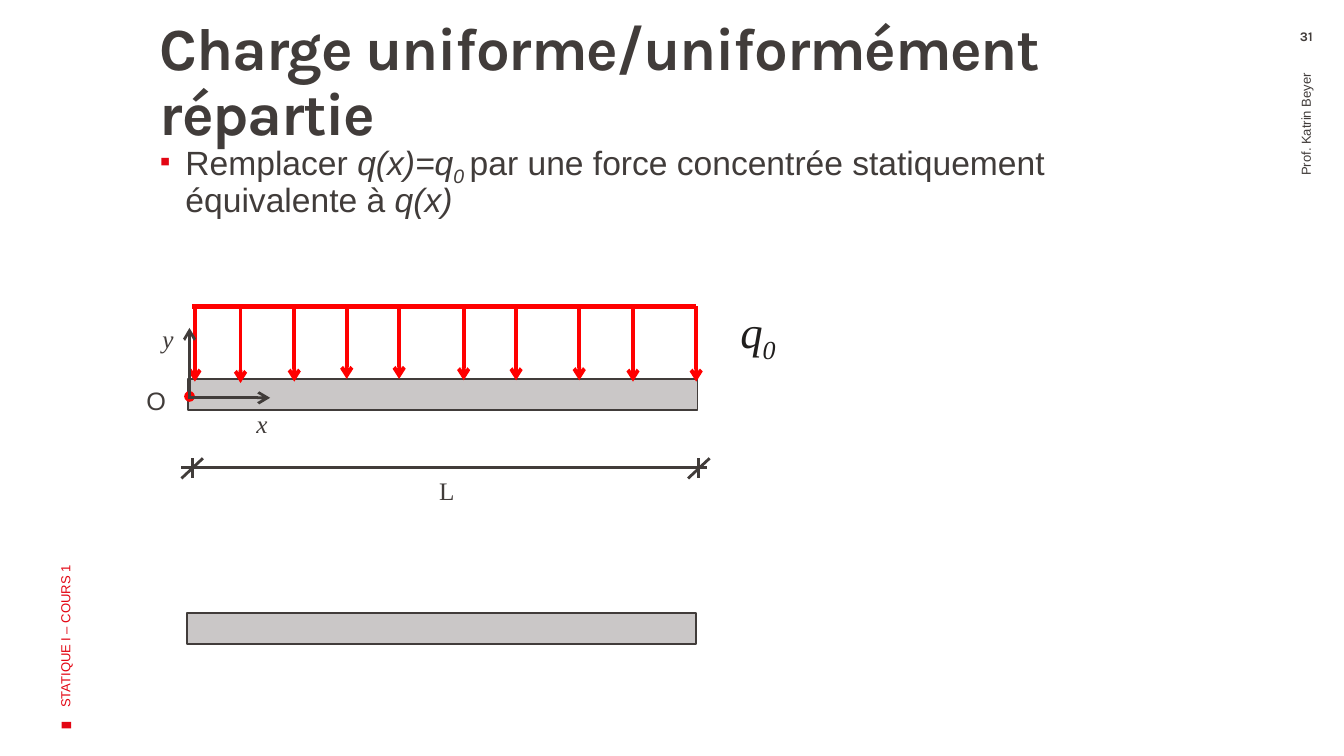
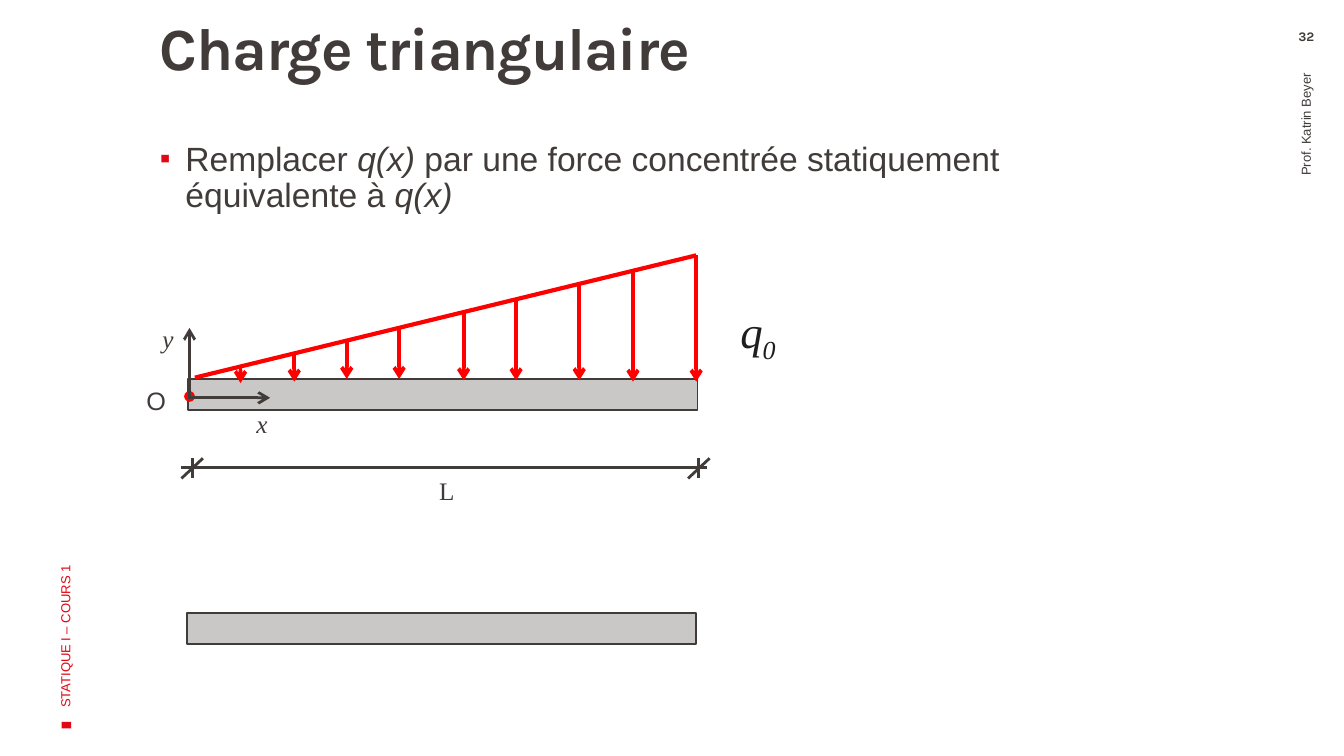
from lxml import etree
from pptx import Presentation
from pptx import util as u
from pptx.dml.color import RGBColor
from pptx.enum import shapes, text
from pptx.oxml.ns import qn

INK = RGBColor(0x41, 0x3C, 0x3A)
SYMBOL_INK = RGBColor(0x20, 0x1E, 0x1D)
ACCENT = RGBColor(0xE3, 0x06, 0x13)
LOAD_RED = RGBColor(0xFF, 0x00, 0x00)
BEAM_GREY = RGBColor(0xCA, 0xC7, 0xC7)
SANS, SERIF, DISPLAY = "Arial", "Times New Roman", "Karla"

deck = Presentation()
deck.slide_width, deck.slide_height = u.Inches(10), u.Inches(5.625)
CELL = deck.slide_width / 100  # square grid: 100 columns, 56.25 rows


def write(slide, box, runs, size, font=SANS, color=INK, bold=False, spacing=None,
          insets=(1, 0.5, 1, 0.5), align=None, middle=False, rotation=0,
          line_spacing=None, bullet=None):
    """Add a text box; runs are (text, style), style being "", "i" or "i sub"."""
    label = slide.shapes.add_textbox(*(round(v * CELL) for v in box))
    label.rotation = rotation
    frame = label.text_frame
    frame.word_wrap = True
    (frame.margin_left, frame.margin_top,
     frame.margin_right, frame.margin_bottom) = (round(v * CELL) for v in insets)
    frame.vertical_anchor = text.MSO_ANCHOR.MIDDLE if middle else text.MSO_ANCHOR.TOP
    paragraph = frame.paragraphs[0]
    if bullet:
        props = paragraph._p.get_or_add_pPr()
        hang = round(1.9 * CELL)
        props.set("marL", str(hang))
        props.set("indent", str(-hang))
        tint = etree.SubElement(props, qn("a:buClr"))
        etree.SubElement(tint, qn("a:srgbClr"), val=str(ACCENT))
        etree.SubElement(props, qn("a:buSzPct"), val="90000")
        etree.SubElement(props, qn("a:buFont"), typeface=SANS)
        etree.SubElement(props, qn("a:buChar"), char=bullet)
    if align:
        paragraph.alignment = align
    if line_spacing:
        paragraph.line_spacing = line_spacing
    for words, style in runs:
        run = paragraph.add_run()
        run.text = words
        run.font.name, run.font.size = font, u.Pt(size)
        run.font.bold, run.font.italic = bold, "i" in style.split()
        run.font.color.rgb = color
        if "sub" in style:
            run._r.get_or_add_rPr().set("baseline", "-25000")
        if spacing:
            run._r.get_or_add_rPr().set("spc", str(spacing))


def draw_line(slide, start, end, color=INK, width=1.5, arrow=False):
    line = slide.shapes.add_connector(
        shapes.MSO_CONNECTOR.STRAIGHT, *(round(v * CELL) for v in (*start, *end)))
    line.line.color.rgb, line.line.width = color, u.Pt(width)
    props = line._element.spPr
    if arrow:
        etree.SubElement(props.get_or_add_ln(), qn("a:tailEnd"), type="arrow")
    etree.SubElement(props, qn("a:effectLst"))


FIRST_NUMBER = 31
# title, bullet, ends of the load's upper edge, (column, tip row) of its arrows
ARROWS = [(17.9, 28.5), (21.9, 28.4), (25.8, 28.2), (29.7, 28.2), (34.5, 28.3),
          (38.4, 28.3), (43.1, 28.3), (47.1, 28.4), (51.8, 28.4)]
LOAD_CASES = [
    ("Charge uniforme/uniformément répartie",
     [("Remplacer ", ""), ("q(x)=q", "i"), ("0 ", "i sub"),
      ("par une force concentrée statiquement équivalente à ", ""), ("q(x)", "i")],
     (14.3, 22.8), (51.8, 22.8), [(14.5, 28.4)] + ARROWS),
    ("Charge triangulaire",
     [("Remplacer ", ""), ("q(x) ", "i"),
      ("par une force concentrée statiquement équivalente à ", ""), ("q(x)", "i")],
     (14.5, 28.1), (51.8, 19), ARROWS),
]
RECT, OVAL = shapes.MSO_SHAPE.RECTANGLE, shapes.MSO_SHAPE.OVAL
FIGURE = [  # preset, box, fill, outlined, rotation
    (RECT, (4.7, 53.6, 0.5, 0.7), ACCENT, False, 270),
    (RECT, (14, 28.2, 37.9, 2.3), BEAM_GREY, True, 0),
    (RECT, (13.9, 45.6, 37.9, 2.3), BEAM_GREY, True, 0),
    (OVAL, (13.7, 29.1, 0.8, 0.8), LOAD_RED, False, 0),
]
LABELS = [  # letter, box, font, style
    ("L", (31.7, 34.9, 3.6, 4), SERIF, ""),
    ("O", (9.9, 28.2, 3.7, 4), SANS, ""),
    ("x", (18.1, 29.9, 3.1, 4), SERIF, "i"),
    ("y", (11.1, 23.6, 3.1, 4), SERIF, "i"),
]

for number, (title, bullet_runs, left, right, arrows) in enumerate(LOAD_CASES, FIRST_NUMBER):
    slide = deck.slides.add_slide(deck.slide_layouts[6])

    # Heading, task and margin texts
    write(slide, (9.9, 10.1, 76.7, 7.2), bullet_runs, 18, insets=(2, 0.5, 1, 0.5),
          line_spacing=0.9, bullet="▪")
    write(slide, (9.9, 1.4, 76.7, 6.8), [(title, "")], 32, DISPLAY, bold=True,
          spacing=-70, insets=(2, 0, 0.8, 0.5), line_spacing=0.9)
    write(slide, (-13.4, 30.4, 36.5, 10), [("STATIQUE I – COURS 1", "")], 7,
          color=ACCENT, middle=True, rotation=270)
    write(slide, (77.8, 20.5, 38.7, 5.6), [("Prof. Katrin Beyer", "")], 7,
          insets=(1, 0.5, 1.5, 0.5), align=text.PP_ALIGN.RIGHT, middle=True, rotation=270)
    write(slide, (94.4, 2.1, 5.6, 1.8), [(str(number), "")], 7, DISPLAY, bold=True,
          insets=(1, 0, 1, 0), align=text.PP_ALIGN.CENTER)

    # Beams, origin and margin mark
    for preset, box, fill, outlined, rotation in FIGURE:
        part = slide.shapes.add_shape(preset, *(round(v * CELL) for v in box))
        part.shadow.inherit = False
        part.rotation = rotation
        part.fill.solid()
        part.fill.fore_color.rgb = fill
        if outlined:
            part.line.color.rgb, part.line.width = INK, u.Pt(1)
        else:
            part.line.fill.background()

    # Distributed load: each arrow hangs from the upper edge
    slope = (right[1] - left[1]) / (right[0] - left[0])
    for column, tip in arrows:
        edge = left[1] + slope * (column - left[0])
        draw_line(slide, (column, edge), (column, tip), LOAD_RED, 2, arrow=True)
    draw_line(slide, left, right, LOAD_RED, 2.25)

    # Dimension line with its two end marks
    draw_line(slide, (13.5, 34.8), (52.6, 34.8))
    for column in (14.3, 52):
        draw_line(slide, (column, 34.1), (column, 35.6))
        draw_line(slide, (column - 0.8, 35.6), (column + 0.8, 34.1))

    # Axes and symbols
    draw_line(slide, (14.1, 29.6), (20.1, 29.6), arrow=True)
    draw_line(slide, (14.1, 29.7), (14.1, 24.4), arrow=True)
    for letter, box, font, style in LABELS:
        write(slide, box, [(letter, style)], 13.5, font)
    write(slide, (54.1, 22.1, 8, 5), [("q", "i"), ("0", "i sub")], 24, SERIF, SYMBOL_INK)

deck.save("out.pptx")
